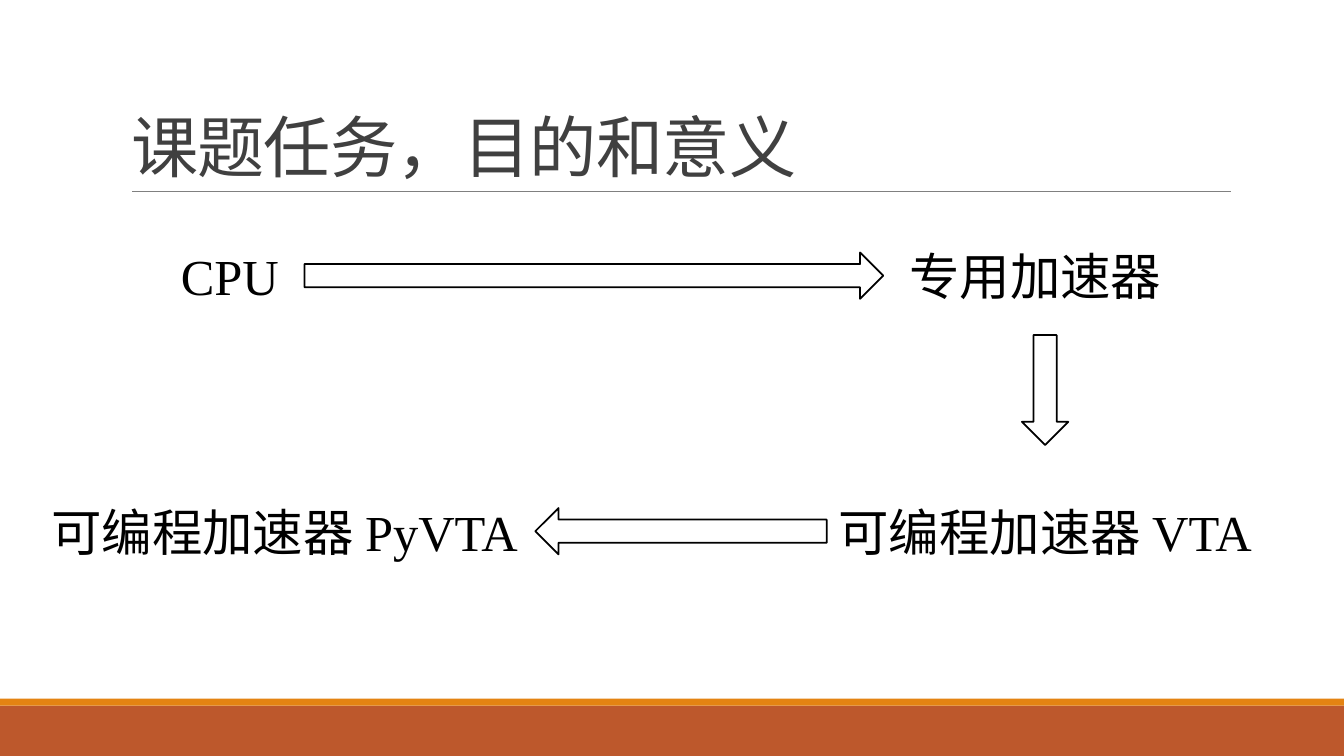
from dataclasses import dataclass

from lxml import etree
from pptx import Presentation
from pptx import util as u
from pptx.dml import color as c
from pptx.enum import shapes as s, text as t
from pptx.oxml import ns


@dataclass
class Theme:
    """Colours, fonts and type sizes."""
    ink: str = "000000"
    title: str = "404040"
    rule: str = "808080"
    rust: str = "BD582C"
    gold: str = "E48312"
    head: str = "Calibri"
    body: str = "Times New Roman"
    big: int = 48
    mid: int = 36


class Deck:
    """Style and current slide, on a grid of 100 columns by 100 rows."""

    def __init__(self, theme):
        """Start a wide deck with one title slide."""
        self.theme = theme
        self.prs = Presentation()
        self.prs.slide_width = u.Inches(13.33)
        self.prs.slide_height = u.Inches(7.5)
        self.slide = self.prs.slides.add_slide(self.prs.slide_layouts[5])

    def place(self, x, y, w, h):
        """Turn columns and rows into lengths."""
        col, row = self.prs.slide_width / 100, self.prs.slide_height / 100
        return [u.Emu(round(n)) for n in (x * col, y * row, w * col, h * row)]

    def add_words(self, para, words, font, size, tint):
        """Add one styled run."""
        run = para.add_run()
        run.text = words
        run.font.name = font
        run.font.size = u.Pt(size)
        run.font.color.rgb = c.RGBColor.from_string(tint)
        return run

    def title(self, words, *box):
        """Fill and move the title."""
        hold = self.slide.shapes.title
        hold.left, hold.top, hold.width, hold.height = self.place(*box)
        frame = hold.text_frame
        frame.word_wrap = True
        frame.auto_size = t.MSO_AUTO_SIZE.NONE
        frame.vertical_anchor = t.MSO_ANCHOR.BOTTOM
        para = frame.paragraphs[0]
        para.alignment = t.PP_ALIGN.LEFT
        para.line_spacing = 0.85
        look = self.theme
        run = self.add_words(para, words, look.head, look.big, look.title)
        run._r.get_or_add_rPr().set("spc", "-50")

    def bar(self, tint, *box):
        """Draw a plain band."""
        band = self.slide.shapes.add_shape(s.MSO_SHAPE.RECTANGLE, *self.place(*box))
        band.shadow.inherit = False
        band.fill.solid()
        band.fill.fore_color.rgb = c.RGBColor.from_string(tint)
        band.line.fill.background()

    def rule(self, x, y, w):
        """Draw a thin level line."""
        left, top, wide, _ = self.place(x, y, w, 0)
        line = self.slide.shapes.add_connector(
            s.MSO_CONNECTOR.STRAIGHT, left, top, left + wide, top)
        line.line.color.rgb = c.RGBColor.from_string(self.theme.rule)
        line.line.width = u.Pt(0.5)
        etree.SubElement(line._element.spPr, ns.qn("a:effectLst"))

    def label(self, words, x, y, w, align=t.PP_ALIGN.LEFT):
        """Add one step of the flow."""
        frame = self.slide.shapes.add_textbox(*self.place(x, y, w, 9.47)).text_frame
        frame.word_wrap = True
        frame.auto_size = t.MSO_AUTO_SIZE.SHAPE_TO_FIT_TEXT
        para = frame.paragraphs[0]
        para.alignment = align
        look = self.theme
        self.add_words(para, words, look.body, look.mid, look.ink)

    def arrow(self, x, y, w, turn=0):
        """Draw a hollow arrow centred on a text row."""
        box = self.place(x, y + 1.6, w, 6.13)
        shape = self.slide.shapes.add_shape(s.MSO_SHAPE.RIGHT_ARROW, *box)
        shape.shadow.inherit = False
        shape.rotation = turn
        shape.fill.background()
        shape.line.color.rgb = c.RGBColor.from_string(self.theme.ink)
        shape.line.width = u.Pt(1.25)


def main():
    """Build and save the slide."""
    look = Theme()
    deck = Deck(look)
    deck.bar(look.rust, 0, 93.33, 100, 6.67)
    deck.bar(look.gold, 0, 92.4, 100, 0.93)
    deck.rule(9.83, 25.33, 81.77)
    deck.title("课题任务，目的和意义", 9, 4.13, 82.5, 21.2)

    top, mid, low = 31.8, 46.93, 65.6
    deck.label("CPU", 10.2, top, 13.8, t.PP_ALIGN.CENTER)
    deck.arrow(22.66, top, 43.06)
    deck.label("专用加速器", 66.92, top, 21.83)
    deck.arrow(73.67, mid, 8.18, 90)
    deck.label("可编程加速器 VTA", 55.96, low, 43.59, t.PP_ALIGN.CENTER)
    deck.arrow(39.83, low, 21.68, 180)
    deck.label("可编程加速器 PyVTA", 3.08, low, 46.81)
    deck.prs.save("out.pptx")


if __name__ == "__main__":
    main()
